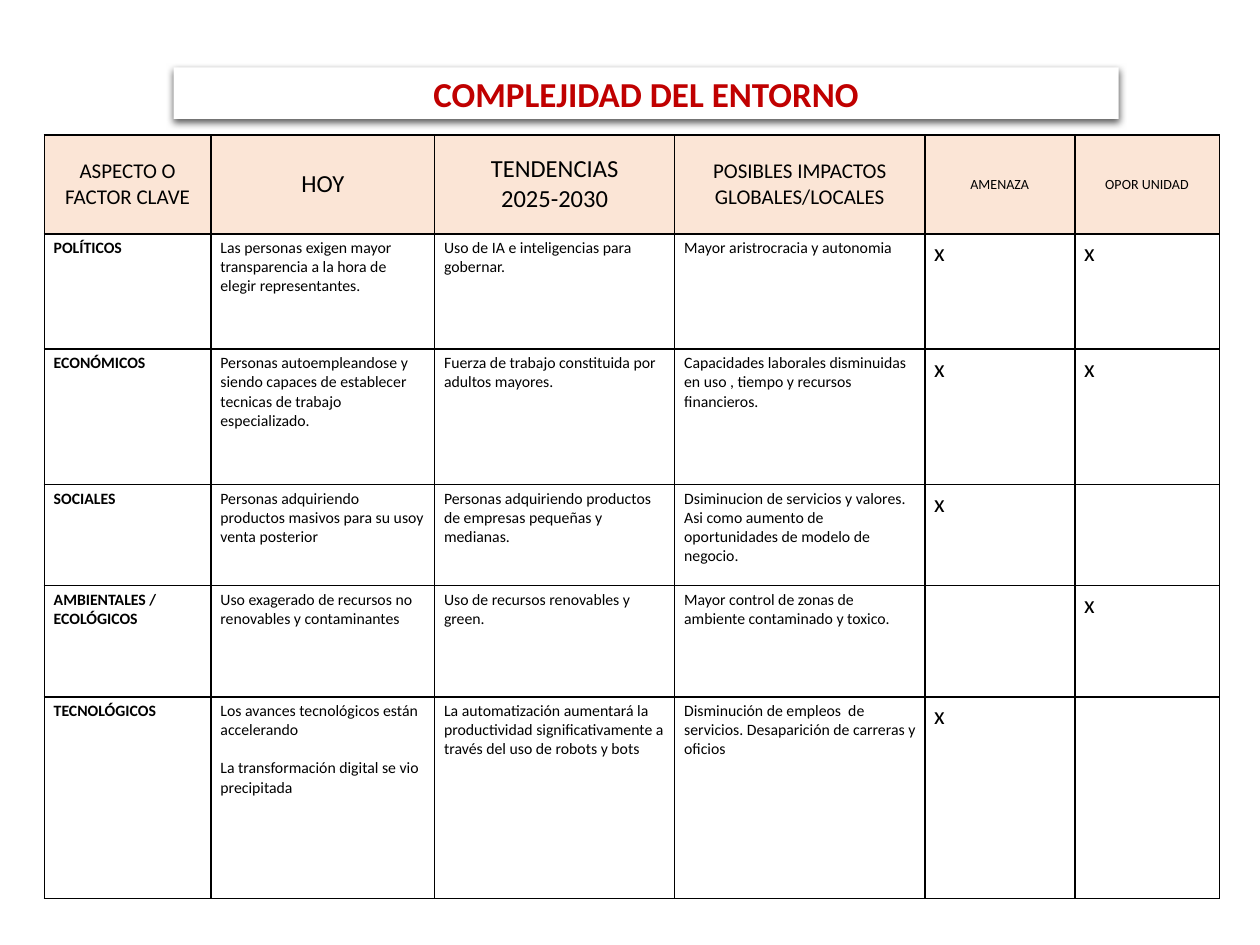
from dataclasses import dataclass

from lxml.etree import SubElement
from pptx import Presentation
from pptx.dml.color import RGBColor
from pptx.enum.text import MSO_ANCHOR, MSO_AUTO_SIZE, PP_ALIGN
from pptx.oxml.ns import qn
from pptx.util import Pt


@dataclass(frozen=True)
class Theme:
    font: str = "Calibri"
    ink: str = "000000"
    accent: str = "C00000"
    paper: str = "FFFFFF"
    head: str = "FBE5D6"
    title: int = 20
    large: int = 14
    medium: int = 12
    body: int = 9
    small: int = 8
    gap: int = 11
    border: int = 1


class Deck:
    def __init__(self, theme):
        self.theme = theme
        self.file = Presentation()
        self.file.slide_width, self.file.slide_height = Pt(720), Pt(540)
        self.slide = self.file.slides.add_slide(self.file.slide_layouts[5])

    def paint(self, item, color):
        item.fill.solid()
        item.fill.fore_color.rgb = RGBColor.from_string(color)

    def text(self, frame, lines, size, color, bold=False, align=PP_ALIGN.LEFT, gap=0):
        for i, line in enumerate(lines):
            para = frame.paragraphs[0] if i == 0 else frame.add_paragraph()
            para.alignment = align
            para.space_before = Pt(gap if i else 0)
            run = para.add_run()
            run.text = line
            font = run.font
            font.name, font.size, font.bold = self.theme.font, Pt(size), bold
            font.color.rgb = RGBColor.from_string(color)

    def shade(self, shape):
        effects = SubElement(shape._element.spPr, qn("a:effectLst"))
        shadow = SubElement(effects, qn("a:outerShdw"), blurRad=str(Pt(4.5)),
                            dist=str(Pt(1.5)), dir="5400000", rotWithShape="0")
        color = SubElement(shadow, qn("a:srgbClr"), val=self.theme.ink)
        SubElement(color, qn("a:alpha"), val="63000")

    def title(self, text, left, top, width, height):
        shape = self.slide.shapes.title
        shape.left, shape.top, shape.width, shape.height = map(Pt, (left, top, width, height))
        self.paint(shape, self.theme.paper)
        shape.line.fill.background()
        self.shade(shape)
        frame = shape.text_frame
        frame.auto_size, frame.word_wrap = MSO_AUTO_SIZE.NONE, True
        frame.vertical_anchor = MSO_ANCHOR.MIDDLE
        frame.margin_left = frame.margin_right = Pt(5)
        frame.margin_top = frame.margin_bottom = Pt(3)
        self.text(frame, [text], self.theme.title, self.theme.accent, True, PP_ALIGN.CENTER)

    def edge(self, cell):
        props = cell._tc.get_or_add_tcPr()
        for side in ("lnL", "lnR", "lnT", "lnB"):
            line = SubElement(props, qn(f"a:{side}"), w=str(Pt(self.theme.border)))
            fill = SubElement(line, qn("a:solidFill"))
            SubElement(fill, qn("a:srgbClr"), val=self.theme.ink)

    def cell(self, cell, lines, size, fill, bold=False, head=False):
        self.edge(cell)
        self.paint(cell, fill)
        cell.margin_left = cell.margin_right = Pt(5.4)
        cell.margin_top = cell.margin_bottom = Pt(2.7)
        cell.vertical_anchor = MSO_ANCHOR.MIDDLE if head else MSO_ANCHOR.TOP
        self.text(cell.text_frame, lines, size, self.theme.ink, bold,
                  PP_ALIGN.CENTER if head else PP_ALIGN.LEFT,
                  0 if head else self.theme.gap)

    def table(self, heads, rows, left, top, widths, heights):
        look = self.theme
        grid = self.slide.shapes.add_table(
            len(heights), len(widths), Pt(left), Pt(top),
            Pt(sum(widths)), Pt(sum(heights))).table
        grid.first_row = grid.horz_banding = False
        for col, width in zip(grid.columns, widths):
            col.width = Pt(width)
        for row, height in zip(grid.rows, heights):
            row.height = Pt(height)
        # Header row
        for c, (lines, size) in enumerate(heads):
            self.cell(grid.cell(0, c), lines, size, look.head, head=True)
        # Factor rows: bold name, texts, then the two mark columns
        for r, row in enumerate(rows, 1):
            for c, value in enumerate(row):
                lines = value if isinstance(value, list) else [value] if value else []
                size = look.large if c > 3 else look.body
                self.cell(grid.cell(r, c), lines, size, look.paper, bold=c == 0)


def main():
    look = Theme()
    deck = Deck(look)

    # Title band
    deck.title("COMPLEJIDAD DEL ENTORNO", 99.2, 38.5, 540, 29.5)

    # Factor table
    heads = [
        (["ASPECTO O FACTOR CLAVE"], look.medium),
        (["HOY"], look.large),
        (["TENDENCIAS", "2025-2030"], look.large),
        (["POSIBLES IMPACTOS GLOBALES/LOCALES"], look.medium),
        (["AMENAZA"], look.small),
        (["OPOR UNIDAD"], look.small),
    ]
    rows = [
        ("POLÍTICOS",
         "Las personas exigen mayor transparencia a la hora de elegir representantes.",
         "Uso de IA e inteligencias para gobernar.",
         "Mayor aristrocracia y autonomia", "x", "x"),
        ("ECONÓMICOS",
         "Personas autoempleandose y siendo capaces de establecer tecnicas de trabajo "
         "especializado.",
         "Fuerza de trabajo constituida por adultos mayores.",
         "Capacidades laborales disminuidas en uso , tiempo y recursos financieros.",
         "x", "x"),
        ("SOCIALES",
         "Personas adquiriendo productos masivos para su usoy venta posterior",
         "Personas adquiriendo productos de empresas pequeñas y medianas.",
         "Dsiminucion de servicios y valores. Asi como aumento de oportunidades de "
         "modelo de negocio.", "x", ""),
        ("AMBIENTALES / ECOLÓGICOS",
         "Uso exagerado de recursos no renovables y contaminantes",
         "Uso de recursos renovables y green.",
         "Mayor control de zonas de ambiente contaminado y toxico.", "", "x"),
        ("TECNOLÓGICOS",
         ["Los avances tecnológicos están accelerando",
          "La transformación digital se vio precipitada"],
         "La automatización aumentará la productividad significativamente a través "
         "del uso de robots y bots",
         "Disminución de empleos  de servicios. Desaparición de carreras y oficios",
         "x", ""),
    ]
    deck.table(heads, rows, 25.3, 77.1,
               widths=(95.3, 127.8, 137.2, 142.9, 85.7, 82.6),
               heights=(56.6, 65.8, 77.5, 57.6, 63.6, 115.3))
    deck.file.save("out.pptx")


if __name__ == "__main__":
    main()
